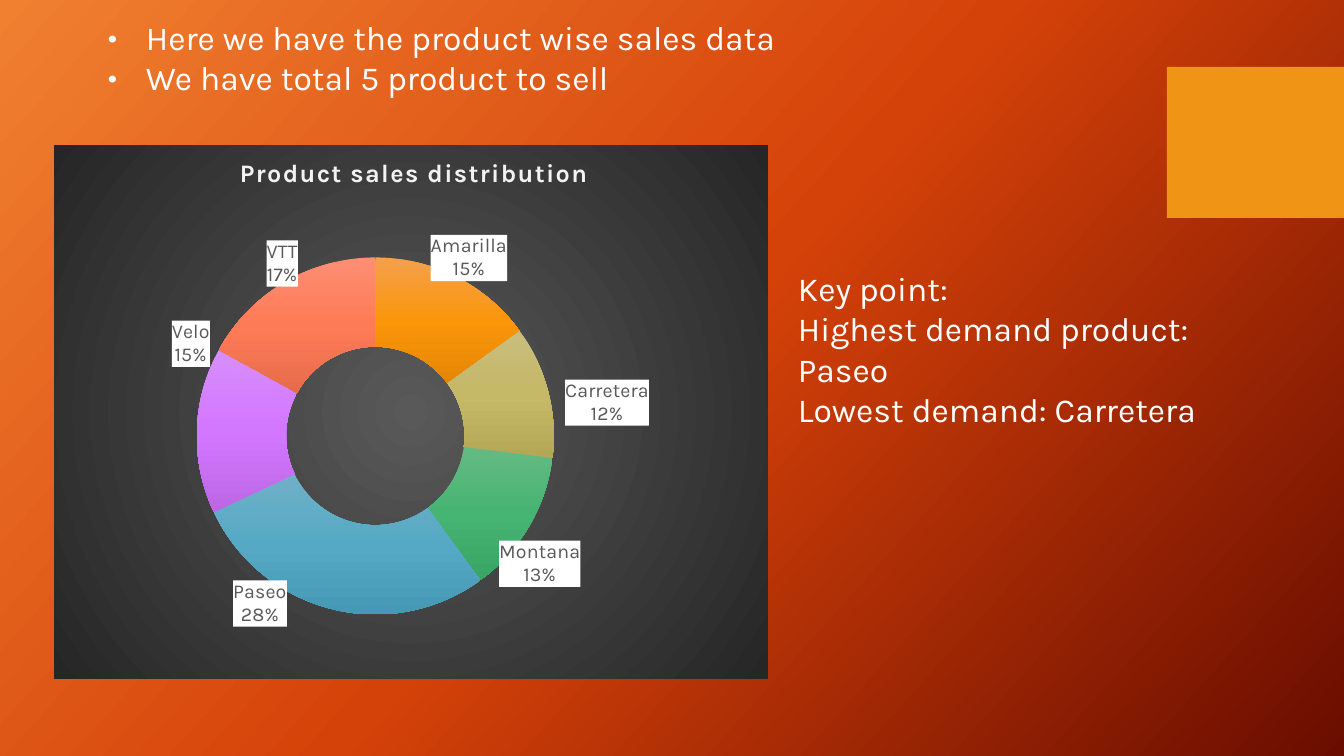
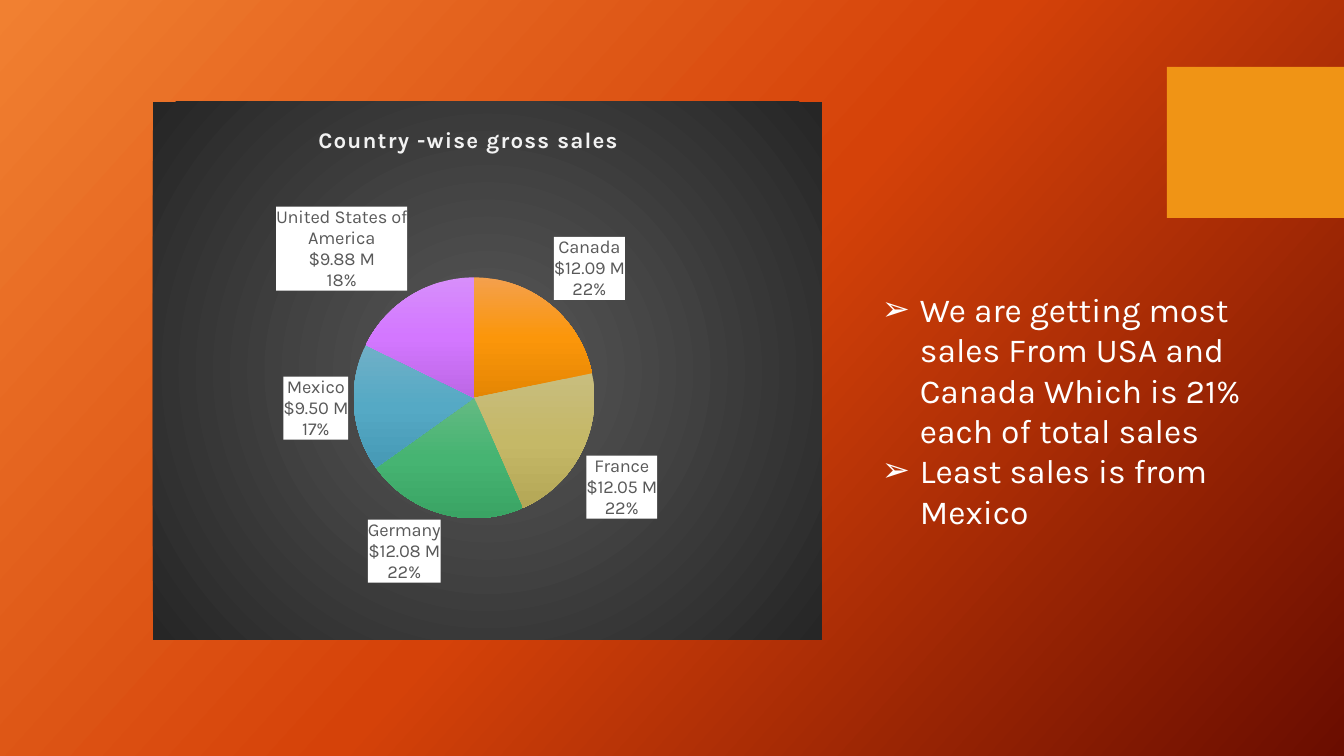
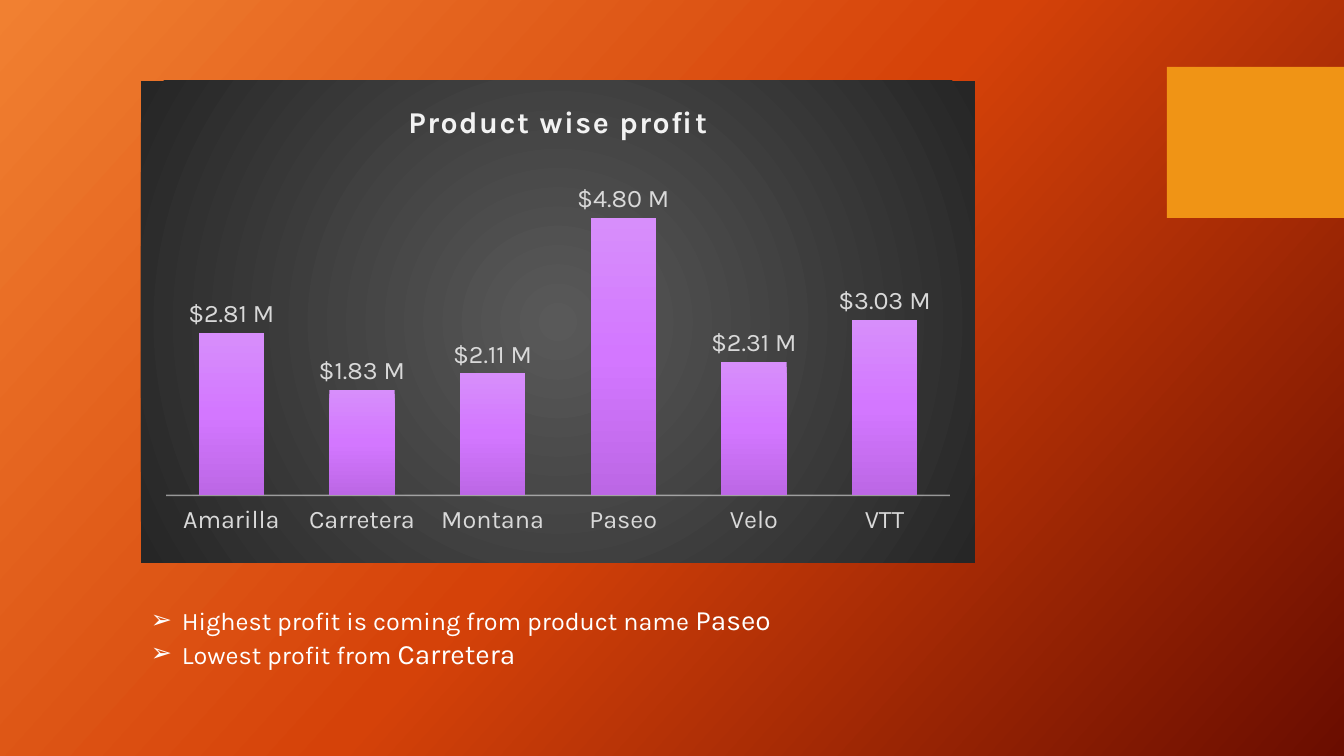
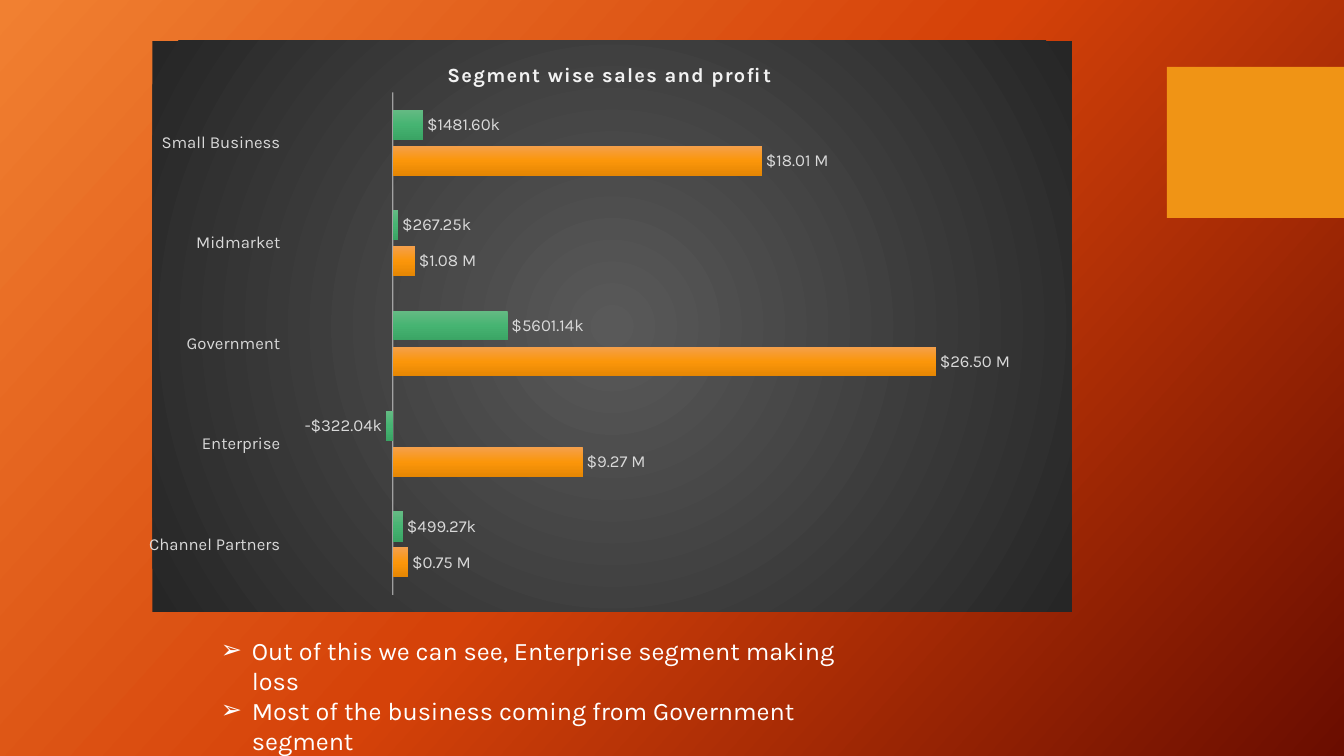
from copy import deepcopy
from dataclasses import dataclass

from pptx import Presentation
from pptx.chart.data import CategoryChartData
from pptx.dml.color import RGBColor
from pptx.enum.chart import XL_CHART_TYPE, XL_LABEL_POSITION, XL_TICK_LABEL_POSITION, XL_TICK_MARK
from pptx.enum.shapes import MSO_SHAPE
from pptx.oxml import parse_xml
from pptx.oxml.ns import nsdecls
from pptx.util import Emu, Pt

PAGE_WIDTH, PAGE_HEIGHT = 1344, 756
SCALE = 12192000 / PAGE_WIDTH
MILLIONS = '\\$0.00,,\\ "M"'
THOUSANDS = '\\$###.00,"k"'
PRODUCTS = ["Amarilla", "Carretera", "Montana", "Paseo", "Velo", "VTT"]


@dataclass(frozen=True)
class Theme:
    font: str = "Karla"
    white: str = "FFFFFF"
    band: str = "F09415"
    title: str = "F2F2F2"
    axis_text: str = "D9D9D9"
    label_text: str = "595959"
    backdrop: tuple = ("F18031", "D54209", "6A0D00")
    panel: tuple = ("595959", "262626")
    orange: tuple = ("F4A04D", "FB960A", "E58603")
    olive: tuple = ("C8BD7E", "C5B867", "B4A756")
    green: tuple = ("64BA83", "46B472", "3AA464")
    blue: tuple = ("70B0C7", "55A9C5", "4699B5")
    purple: tuple = ("D78EFB", "D377FF", "BC67E5")
    coral: tuple = ("FD8E73", "FF7B57", "E56C4B")
    large: int = 24
    medium: int = 20
    body: int = 18

    @property
    def slices(self):
        return self.orange, self.olive, self.green, self.blue, self.purple, self.coral


def px(length):
    return Emu(round(length * SCALE))


def xml(markup):
    head, mark, tail = markup.partition(">")
    cut = -1 if head.endswith("/") else len(head)
    return parse_xml(f'{head[:cut]} {nsdecls("a", "c")}{head[cut:]}{mark}{tail}')


def gradient(colours, direction):
    last = len(colours) - 1
    stops = "".join(
        f'<a:gs pos="{100000 * place // last}"><a:srgbClr val="{colour}"/></a:gs>'
        for place, colour in enumerate(colours)
    )
    return f"<a:gradFill><a:gsLst>{stops}</a:gsLst>{direction}</a:gradFill>"


def linear(colours, angle=90):
    return gradient(colours, f'<a:lin ang="{angle * 60000}" scaled="0"/>')


def radial(colours):
    centre = '<a:fillToRect l="50000" t="50000" r="50000" b="50000"/>'
    return gradient(colours, f'<a:path path="circle">{centre}</a:path>')


def manual_layout(x, y, extra="", target=""):
    return xml(
        f'<c:layout><c:manualLayout>{target}<c:x val="{x:.3f}"/><c:y val="{y:.3f}"/>'
        f"{extra}</c:manualLayout></c:layout>"
    )


EDGES = '<c:xMode val="edge"/><c:yMode val="edge"/>'


class Deck:
    """Holds the presentation, its style and the page being drawn."""

    def __init__(self, theme):
        self.theme = theme
        self.show = Presentation()
        self.show.slide_width, self.show.slide_height = px(PAGE_WIDTH), px(PAGE_HEIGHT)
        master = self.show.slide_master
        master.background.fill.solid()
        solid = master.element.xpath(".//p:bgPr/a:solidFill")[0]
        solid.getparent().replace(solid, xml(linear(theme.backdrop, 42)))
        self.page = None

    def add_page(self):
        self.page = self.show.slides.add_slide(self.show.slide_layouts[6])
        band = self.page.shapes.add_shape(MSO_SHAPE.RECTANGLE, px(1167), px(67), px(177), px(151))
        band.shadow.inherit = False
        band.fill.solid()
        band.fill.fore_color.rgb = RGBColor.from_string(self.theme.band)
        band.line.fill.background()

    def style(self, font, size, colour, bold=None):
        font.name, font.size, font.bold = self.theme.font, Pt(size), bold
        font.color.rgb = RGBColor.from_string(colour)

    def text(self, place, paragraphs, size, bullet=None, indent=0):
        frame = self.page.shapes.add_textbox(*map(px, place)).text_frame
        frame.word_wrap = True
        for number, spans in enumerate(paragraphs):
            para = frame.add_paragraph() if number else frame.paragraphs[0]
            if bullet:
                properties = para._p.get_or_add_pPr()
                properties.set("marL", str(px(indent)))
                properties.set("indent", str(px(-indent)))
                properties.append(xml(f'<a:buFont typeface="{self.theme.font}"/>'))
                properties.append(xml(f'<a:buChar char="{bullet}"/>'))
            for words, span_size in spans:
                span = para.add_run()
                span.text = words
                self.style(span.font, span_size or size, self.theme.white)

    def chart(self, kind, place, categories, values, title, title_size, title_at, plot_area, size,
              number_format="General"):
        data = CategoryChartData(number_format=number_format)
        data.categories = categories
        for number, row in enumerate(values, 1):
            data.add_series(f"Series {number}", row)
        chart = self.page.shapes.add_chart(kind, *map(px, place), data).chart
        self.style(chart.font, size, self.theme.white)
        chart.has_legend = False
        chart.plots[0].vary_by_categories = False
        text_style = chart._chartSpace.xpath("./c:txPr")[0]
        text_style.addprevious(
            xml(f"<c:spPr>{radial(self.theme.panel)}<a:ln><a:noFill/></a:ln></c:spPr>")
        )
        self.chart_title(chart, place, title, title_size, title_at)
        area = chart._chartSpace.xpath(".//c:plotArea")[0]
        for old in area.xpath("./c:layout"):
            area.remove(old)
        x, y, width, height = plot_area
        extent = f'<c:w val="{width}"/><c:h val="{height}"/>'
        area.insert(0, manual_layout(x, y, extent, '<c:layoutTarget val="inner"/>' + EDGES))
        area.append(xml("<c:spPr><a:noFill/><a:ln><a:noFill/></a:ln></c:spPr>"))
        return chart

    def chart_title(self, chart, place, words, size, title_at):
        chart.has_title = True
        span = chart.chart_title.text_frame.paragraphs[0].add_run()
        span.text = words
        self.style(span.font, size, self.theme.title, True)
        span._r.get_or_add_rPr().set("spc", "100")
        title = chart.chart_title._element
        for old in title.xpath("./c:layout"):
            title.remove(old)
        left, top, width, height = place
        x, y = (title_at[0] - left) / width, (title_at[1] - top) / height
        title.xpath("./c:tx")[0].addnext(manual_layout(x, y, target=EDGES))

    def paint(self, item, colours):
        item.format._element.get_or_add_spPr().append(xml(linear(colours)))

    def labels(self, series, size, colour, number_format, position=None, linked=False):
        labels = series.data_labels
        self.style(labels.font, size, colour)
        labels.number_format, labels.number_format_is_linked = number_format, linked
        labels.show_value = True
        if position is not None:
            labels.position = position
        return labels

    def slice_chart(self, chart, size, number_format, show_value, position=None):
        series = chart.plots[0].series[0]
        for number, colours in zip(range(len(series.values)), self.theme.slices):
            self.paint(series.points[number], colours)
        labels = self.labels(
            series, size, self.theme.label_text, number_format, position, linked=show_value
        )
        labels.show_value = show_value
        labels.show_category_name = labels.show_percentage = True
        group = labels._element
        white = f'<a:solidFill><a:srgbClr val="{self.theme.white}"/></a:solidFill>'
        group.xpath("./c:txPr")[0].addprevious(xml(f"<c:spPr>{white}</c:spPr>"))
        group.xpath("./c:showBubbleSize")[0].addnext(xml("<c:separator>\n</c:separator>"))
        for leader in chart._chartSpace.xpath(".//c:showLeaderLines"):
            leader.set("val", "0")
        return group

    def move_labels(self, group, place, offsets):
        shared = [part for part in group if not part.tag.endswith("showLeaderLines")]
        for number, (right, down) in enumerate(offsets):
            label = xml(f'<c:dLbl><c:idx val="{number}"/></c:dLbl>')
            label.append(manual_layout(right / place[2], down / place[3]))
            label.extend(deepcopy(part) for part in shared)
            group.insert(number, label)

    def bar_chart(self, chart, size, gap, overlap, limits, rows):
        plot = chart.plots[0]
        plot.gap_width, plot.overlap = gap, overlap
        values, names = chart.value_axis, chart.category_axis
        values.visible = values.has_major_gridlines = False
        values.minimum_scale, values.maximum_scale = limits
        names.tick_label_position = XL_TICK_LABEL_POSITION.LOW
        names.major_tick_mark = names.minor_tick_mark = XL_TICK_MARK.NONE
        self.style(names.tick_labels.font, size, self.theme.axis_text)
        names.format.line.width = Pt(1)
        names.format.line.color.rgb = RGBColor.from_string(self.theme.title)
        names._element.xpath("./c:spPr/a:ln//a:srgbClr")[0].append(xml('<a:alpha val="54000"/>'))
        for series, (colours, number_format) in zip(plot.series, rows):
            series.invert_if_negative = False
            self.paint(series, colours)
            self.labels(
                series, size, self.theme.axis_text, number_format, XL_LABEL_POSITION.OUTSIDE_END
            )


def product_sales(deck):
    deck.add_page()
    size = deck.theme.large
    deck.text(
        (98, 12, 697, 132),
        [
            [("Here we have the product wise sales data", None)],
            [("We have total 5 product to sell", None)],
        ],
        size, "•", 38,
    )
    place = (54, 145, 714, 534)
    chart = deck.chart(
        XL_CHART_TYPE.DOUGHNUT, place, PRODUCTS, [[15, 12, 13, 28, 15, 17]],
        "Product sales distribution", 18, (235, 152), (0.2, 0.19, 0.5, 0.71), 14,
    )
    chart._chartSpace.xpath(".//c:holeSize")[0].set("val", "75")
    group = deck.slice_chart(chart, 14, "0%", False)
    offsets = [(33, -59), (102, 0), (49, 60), (-82, 38), (-51, -88), (-25, -57)]
    deck.move_labels(group, place, offsets)
    deck.text(
        (788, 263, 502, 132),
        [
            [("Key point:", None)],
            [("Highest demand product: Paseo", None)],
            [("Lowest demand: Carretera", None)],
        ],
        size,
    )


def country_sales(deck):
    deck.add_page()
    deck.text(
        (872, 284, 444, 254),
        [
            [("We are getting most sales From USA and Canada Which is 21% each of total sales", None)],
            [("Least sales is from Mexico", None)],
        ],
        deck.theme.large, "➢", 38,
    )
    chart = deck.chart(
        XL_CHART_TYPE.PIE, (153, 102, 669, 538),
        ["Canada", "France", "Germany", "Mexico", "United States of America"],
        [[12090000, 12050000, 12080000, 9500000, 9880000]],
        "Country -wise gross sales", 16, (314, 122), (0.3, 0.27, 0.36, 0.56), 12, MILLIONS,
    )
    deck.slice_chart(chart, 13, MILLIONS, True, XL_LABEL_POSITION.OUTSIDE_END)


def product_profit(deck):
    deck.add_page()
    theme = deck.theme
    chart = deck.chart(
        XL_CHART_TYPE.COLUMN_CLUSTERED, (141, 81, 834, 482), PRODUCTS,
        [[2810000, 1830000, 2110000, 4800000, 2310000, 3030000]],
        "Product wise profit", 21.6, (403, 96), (0.03, 0.14, 0.94, 0.72), 18,
    )
    deck.bar_chart(chart, 18, 100, -24, (0, 6000000), [(theme.purple, MILLIONS)])
    deck.text(
        (141, 598, 781, 78),
        [
            [("Highest profit is coming from product name ", None), ("Paseo", theme.medium)],
            [("Lowest profit from ", None), ("Carretera", theme.medium)],
        ],
        theme.body, "➢", 31,
    )


def segment_results(deck):
    deck.add_page()
    theme = deck.theme
    chart = deck.chart(
        XL_CHART_TYPE.BAR_CLUSTERED, (149, 41, 923, 571),
        ["Channel Partners", "Enterprise", "Government", "Midmarket", "Small Business"],
        [
            [750000, 9270000, 26500000, 1080000, 18010000],
            [499270, -322040, 5601140, 267250, 1481600],
        ],
        "Segment wise sales and profit", 14.4, (442, 58), (0.15, 0.09, 0.78, 0.88), 12,
    )
    rows = [(theme.orange, MILLIONS), (theme.green, THOUSANDS)]
    deck.bar_chart(chart, 12, 115, -20, (-5000000, 30000000), rows)
    deck.text(
        (211, 630, 682, 126),
        [
            [("Out of this we can see, Enterprise segment making loss", None)],
            [("Most of the business coming from Government segment", None)],
        ],
        theme.body, "➢", 31,
    )


def main():
    deck = Deck(Theme())
    for draw in (product_sales, country_sales, product_profit, segment_results):
        draw(deck)
    deck.show.save("out.pptx")


if __name__ == "__main__":
    main()
